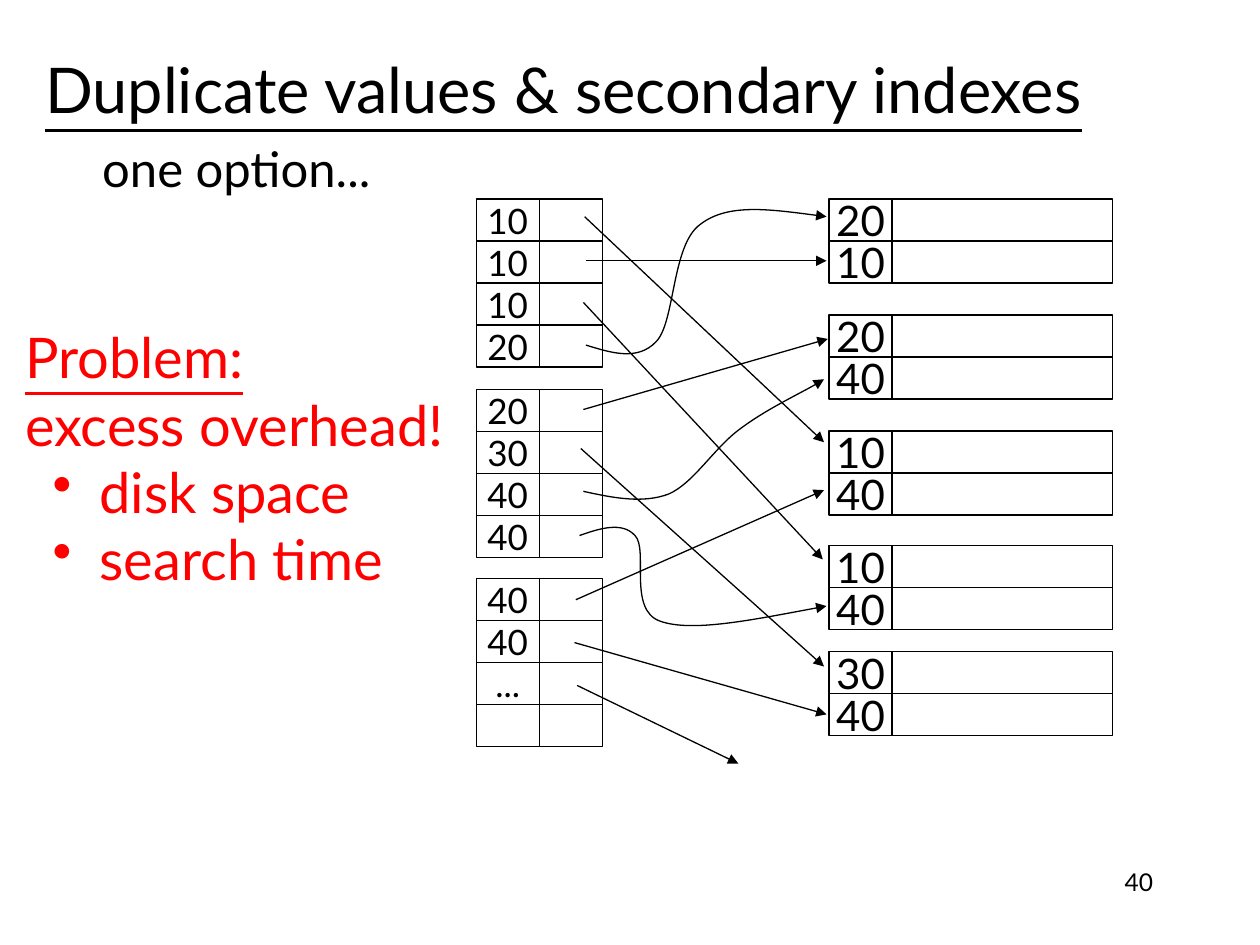
from lxml.etree import SubElement
from pptx import Presentation
from pptx.dml.color import RGBColor
from pptx.enum.shapes import MSO_CONNECTOR, MSO_SHAPE
from pptx.enum.text import MSO_ANCHOR, PP_ALIGN
from pptx.oxml.ns import qn
from pptx.util import Inches, Pt

COLORS = {"ink": "000000", "paper": "FFFFFF", "problem": "FF0000"}
FONT = "Lato"
ROW_HEIGHT = 1 / 3
KEY_WIDTH = 0.5

# Index blocks: top, keys
INDEX_BLOCKS = [
    (1.58, ["10", "10", "10", "20"]),
    (3.09, ["20", "30", "40", "40"]),
    (4.59, ["40", "40", "...", ""]),
]
# Data blocks: top, keys
DATA_BLOCKS = [
    (1.58, ["20", "10"]),
    (2.5, ["20", "40"]),
    (3.42, ["10", "40"]),
    (4.33, ["10", "40"]),
    (5.17, ["30", "40"]),
]
STRAIGHT_POINTERS = [
    ((4.65, 2.07), (6.56, 2.07)),
    ((4.64, 1.72), (6.54, 3.51)),
    ((4.63, 2.4), (6.53, 4.44)),
    ((4.63, 3.25), (6.57, 2.69)),
    ((4.61, 3.56), (6.54, 5.29)),
    ((4.56, 5.1), (6.56, 5.67)),
    ((4.57, 4.76), (6.54, 3.89)),
    ((4.58, 5.44), (5.86, 6.06)),
]
# Start point, then two control points and an end point for each curve section
CURVED_POINTERS = [
    [(4.65, 2.74), (4.85, 2.8), (5.06, 2.87), (5.21, 2.71), (5.36, 2.55),
     (5.33, 1.94), (5.56, 1.78), (5.78, 1.61), (6.17, 1.67), (6.56, 1.72)],
    [(4.63, 3.9), (4.86, 3.95), (5.1, 4), (5.31, 3.92), (5.51, 3.83),
     (5.67, 3.55), (5.88, 3.4), (6.08, 3.25), (6.44, 3.08), (6.54, 3.01)],
    [(4.6, 4.25), (4.77, 4.19), (4.94, 4.14), (5.04, 4.25), (5.15, 4.36),
     (4.98, 4.84), (5.24, 4.93), (5.49, 5.02), (6.02, 4.91), (6.56, 4.81)],
]


def color(name):
    return RGBColor.from_string(COLORS[name])


def format_paragraph(paragraph, size, color_name="ink", align=PP_ALIGN.LEFT, underline=False):
    paragraph.alignment = align
    for run in paragraph.runs:
        run.font.name = FONT
        run.font.size = Pt(size)
        run.font.color.rgb = color(color_name)
        run.font.underline = underline


def set_ink_line(shape):
    shape.line.color.rgb = color("ink")
    shape.line.width = Pt(0.75)


def add_arrowhead(shape):
    set_ink_line(shape)
    SubElement(shape.line._get_or_add_ln(), qn("a:tailEnd"), type="triangle")


def add_bullet(paragraph):
    properties = paragraph._p.get_or_add_pPr()
    properties.set("marL", str(Inches(0.59)))
    properties.set("indent", str(Inches(-0.37)))
    bullet_color = SubElement(properties, qn("a:buClr"))
    SubElement(bullet_color, qn("a:srgbClr"), val=COLORS["problem"])
    SubElement(properties, qn("a:buChar"), char="•")


def add_text(slide, box, text, size, align, anchor=MSO_ANCHOR.MIDDLE):
    shape = slide.shapes.add_textbox(*map(Inches, box))
    text_frame = shape.text_frame
    text_frame.word_wrap = True
    text_frame.vertical_anchor = anchor
    text_frame.text = text
    format_paragraph(text_frame.paragraphs[0], size, align=align)


def add_title(slide, box):
    title = slide.shapes.title
    title.left, title.top, title.width, title.height = map(Inches, box)
    title.text_frame.text = "Duplicate values & secondary indexes"
    title.text_frame.vertical_anchor = MSO_ANCHOR.MIDDLE
    format_paragraph(title.text_frame.paragraphs[0], 36, underline=True)


def add_problem(slide, box):
    shape = slide.shapes.add_textbox(*map(Inches, box))
    text_frame = shape.text_frame
    text_frame.word_wrap = True
    text_frame.vertical_anchor = MSO_ANCHOR.MIDDLE
    text_frame.text = "Problem:\nexcess overhead!\ndisk space\nsearch time"
    for index, paragraph in enumerate(text_frame.paragraphs):
        if index >= 2:
            add_bullet(paragraph)
        format_paragraph(paragraph, 32, "problem", underline=index == 0)


def add_cell(group, box, text, size):
    cell = group.shapes.add_shape(MSO_SHAPE.RECTANGLE, *map(Inches, box))
    cell.shadow.inherit = False
    cell.fill.solid()
    cell.fill.fore_color.rgb = color("paper")
    set_ink_line(cell)
    if text:
        text_frame = cell.text_frame
        text_frame.margin_left = text_frame.margin_right = 0
        text_frame.margin_top = text_frame.margin_bottom = 0
        text_frame.word_wrap = False
        text_frame.vertical_anchor = MSO_ANCHOR.MIDDLE
        text_frame.text = text
        format_paragraph(text_frame.paragraphs[0], size, align=PP_ALIGN.CENTER)


def add_block(slide, left, top, value_width, keys, size):
    """Stack rows of a key cell and an empty value cell."""
    group = slide.shapes.add_group_shape()
    for row, key in enumerate(keys):
        row_top = top + row * ROW_HEIGHT
        add_cell(group, (left, row_top, KEY_WIDTH, ROW_HEIGHT), key, size)
        add_cell(group, (left + KEY_WIDTH, row_top, value_width, ROW_HEIGHT), "", size)


def add_straight_pointer(slide, start, end):
    connector = slide.shapes.add_connector(
        MSO_CONNECTOR.STRAIGHT, *map(Inches, start + end))
    add_arrowhead(connector)
    SubElement(connector._element.spPr, qn("a:effectLst"))


def add_curved_pointer(slide, points):
    start, *others = [(Inches(x), Inches(y)) for x, y in points]
    builder = slide.shapes.build_freeform(*start)
    builder.add_line_segments(others, close=False)
    curve = builder.convert_to_shape()
    # Join every three line points into one cubic curve section
    outline = curve._element.find(".//" + qn("a:path"))
    segments = outline.findall(qn("a:lnTo"))
    for first in range(0, len(segments), 3):
        section = SubElement(outline, qn("a:cubicBezTo"))
        for segment in segments[first:first + 3]:
            section.append(segment[0])
            outline.remove(segment)
    curve.shadow.inherit = False
    curve.fill.background()
    add_arrowhead(curve)


def main():
    presentation = Presentation()
    presentation.slide_width = Inches(10)
    presentation.slide_height = Inches(7.5)
    slide = presentation.slides.add_slide(presentation.slide_layouts[5])

    # Headings and page number
    add_text(slide, (7.17, 6.83, 2.08, 0.5), "40", 14, PP_ALIGN.RIGHT, MSO_ANCHOR.TOP)
    add_title(slide, (0.26, 0.21, 8.67, 0.99))
    add_text(slide, (0.63, 1.05, 2.49, 0.57), "one option...", 28, PP_ALIGN.CENTER)

    # Data and index blocks
    for top, keys in DATA_BLOCKS:
        add_block(slide, 6.58, top, 1.75, keys, 24)
    for top, keys in INDEX_BLOCKS:
        add_block(slide, 3.78, top, 0.5, keys, 20)

    # Pointers from index to data
    for start, end in STRAIGHT_POINTERS:
        add_straight_pointer(slide, start, end)
    for points in CURVED_POINTERS:
        add_curved_pointer(slide, points)

    # Drawback
    add_problem(slide, (0.1, 2.51, 3.79, 2.24))
    presentation.save("out.pptx")


if __name__ == "__main__":
    main()
